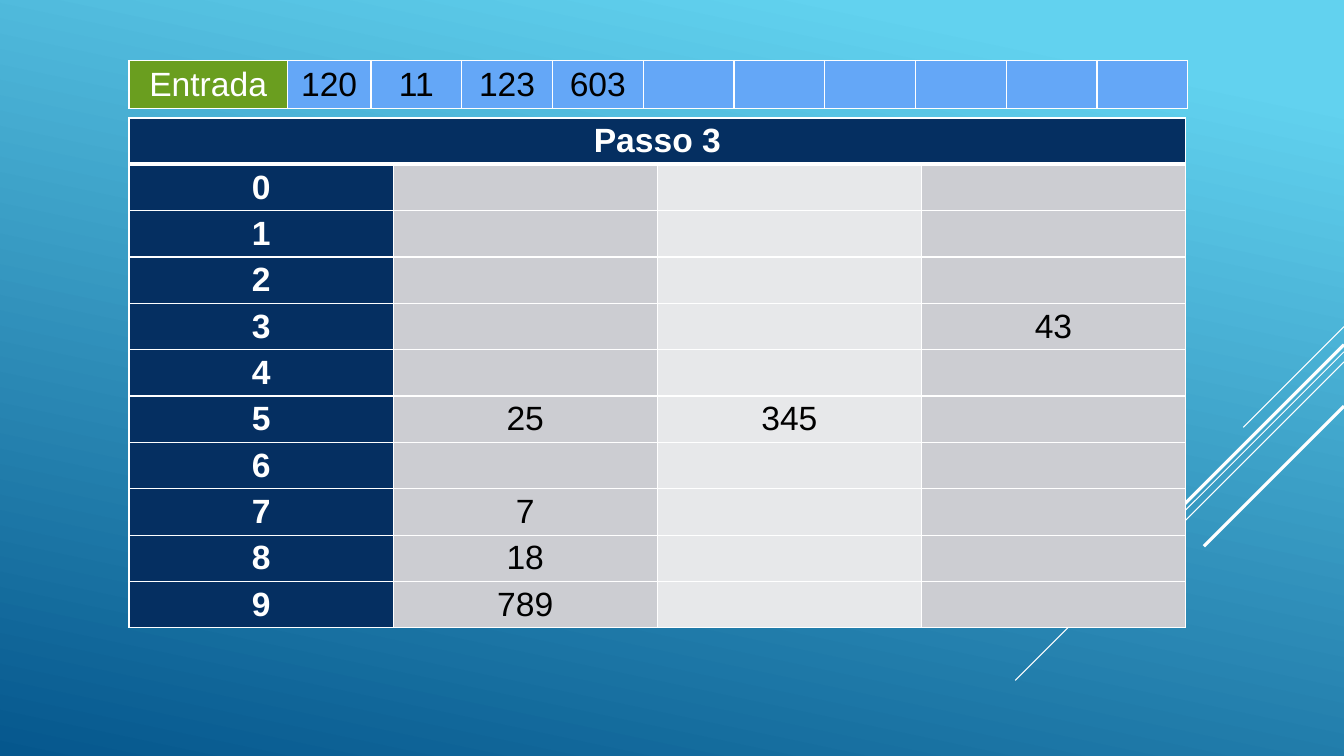
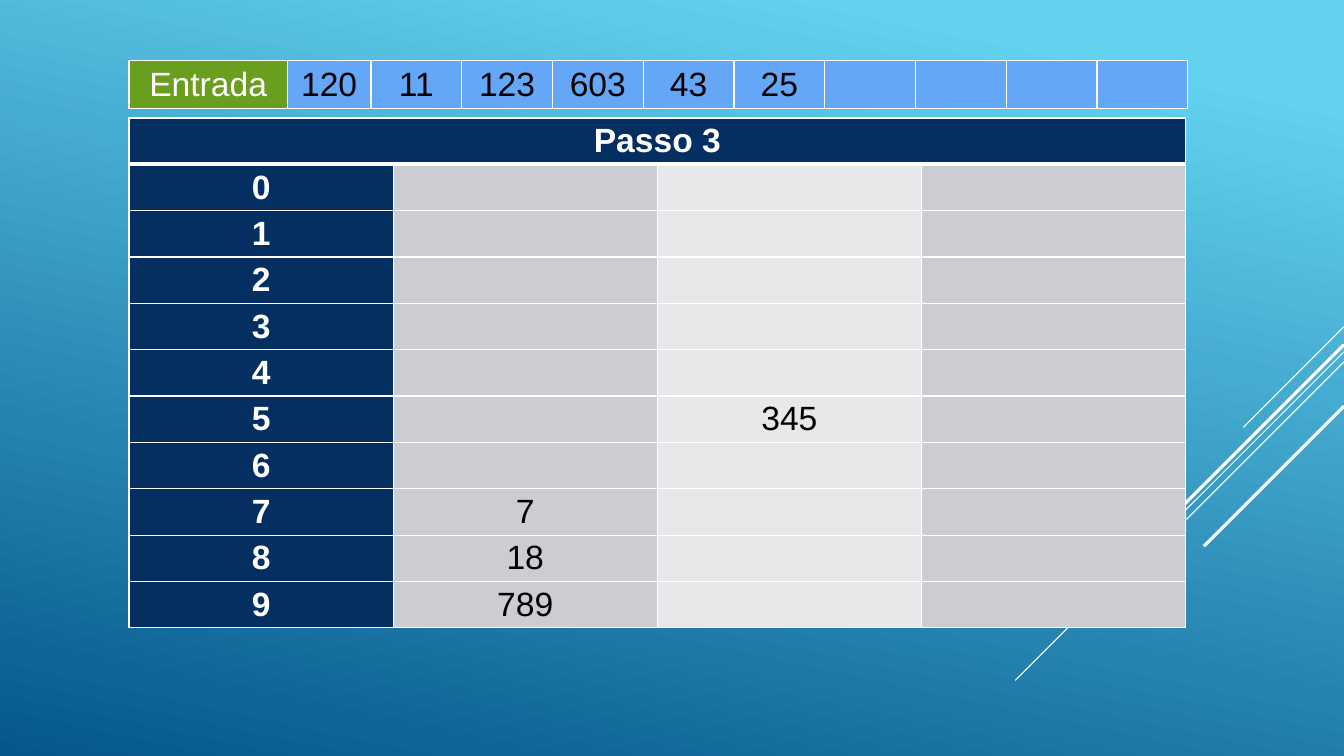
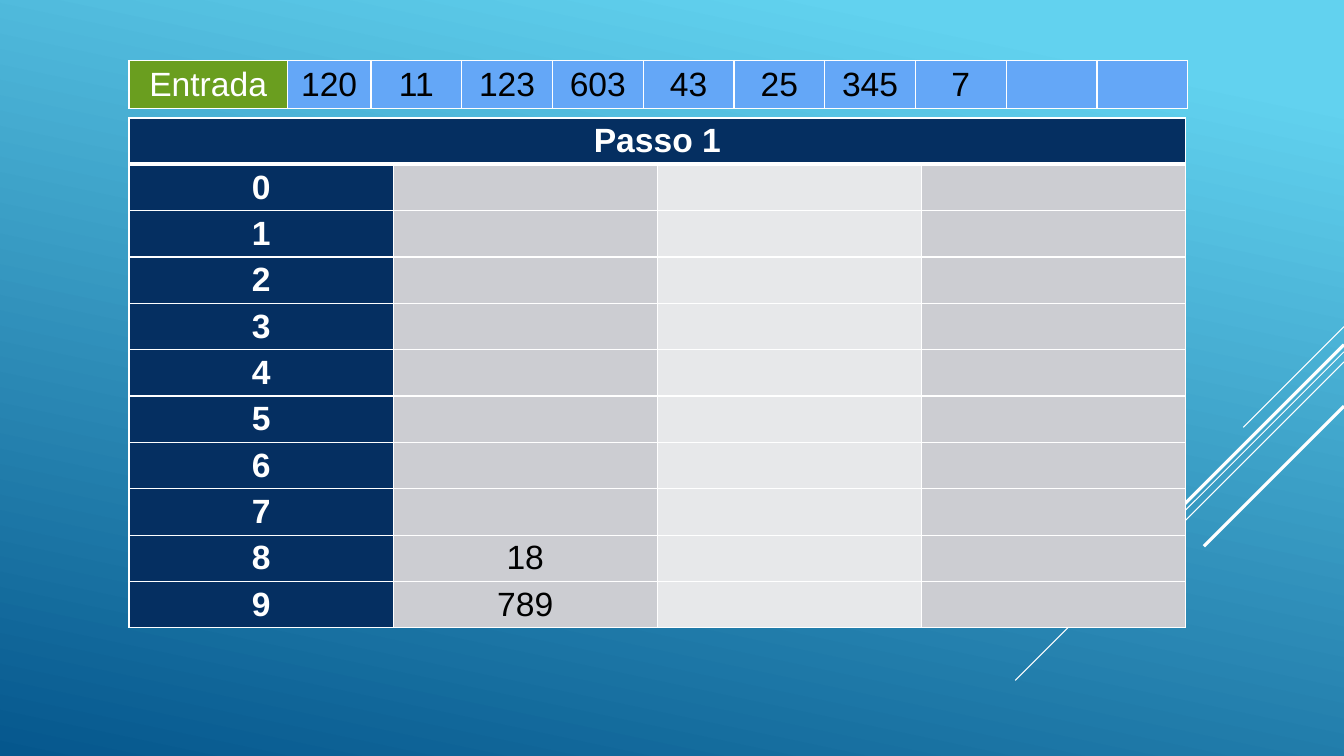
from lxml.etree import SubElement
from pptx import Presentation
from pptx.dml.color import RGBColor
from pptx.enum.shapes import MSO_CONNECTOR as Conn
from pptx.enum.text import MSO_ANCHOR as Anchor, PP_ALIGN as Align
from pptx.oxml import parse_xml
from pptx.oxml.ns import nsdecls, qn
from pptx.util import Inches, Pt

FONT = "Arial"
WHITE, BLACK = "FFFFFF", "000000"
SKY, DEEP = "62D2EF", "05578D"
NAVY, GREEN, BLUE = "052F61", "6A9E1F", "64A7F7"
BANDS = ["CCCDD2", "E7E8EA", "CCCDD2"]

LEFT = 1.28
RIGHT = 13.33
# top of each stripe at the right edge, its run to the left, its width
STRIPES = [(3.24, 1, 0.75), (3.49, 3.26, 0.75), (3.59, 2.07, 0.75),
           (3.42, 1.91, 2.25), (4.03, 1.39, 2.25)]

# numbers in output order, and the bucket column of those still waiting
NUMS = [120, 11, 123, 603, 43, 25, 345, 7, 18, 789]
SLOTS = {43: 3, 25: 1, 345: 2, 7: 1, 18: 1, 789: 1}
# step title, count of numbers already taken out
STEPS = [("Passo 3", 4), ("Passo 3", 6), ("Passo 1", 8)]


def rgb(code):
    return RGBColor.from_string(code)


def write(cell, text, color=BLACK, bold=False, size=24):
    para = cell.text_frame.paragraphs[0]
    para.alignment = Align.CENTER
    run = para.add_run()
    run.text = str(text)
    font = run.font
    font.name, font.size, font.bold = FONT, Pt(size), bold
    font.color.rgb = rgb(color)


def edge(cell, top=1, low=1):
    """Give the cell white borders, in points."""
    props = cell._tc.get_or_add_tcPr()
    sides = [("L", 1), ("R", 1), ("T", top), ("B", low)]
    for i, (side, width) in enumerate(sides):
        line = parse_xml(f'<a:ln{side} {nsdecls("a")} w="{Pt(width)}">'
                         f'<a:solidFill><a:srgbClr val="{WHITE}"/>'
                         f'</a:solidFill></a:ln{side}>')
        props.insert(i, line)


def paint(cell, fill, **lines):
    cell.fill.solid()
    cell.fill.fore_color.rgb = rgb(fill)
    cell.vertical_anchor = Anchor.MIDDLE
    edge(cell, **lines)


def grid(slide, top, rows, widths, height):
    frame = slide.shapes.add_table(
        rows, len(widths), Inches(LEFT), Inches(top),
        Inches(sum(widths)), Inches(height * rows))
    table = frame.table
    table.first_row = table.horz_banding = False
    for col, width in zip(table.columns, widths):
        col.width = Inches(width)
    for row in table.rows:
        row.height = Inches(height)
    return table


def queue(slide, done):
    """Draw the input row with the numbers taken out so far."""
    table = grid(slide, 0.6, 1, [1.57, 0.83] + [0.9] * 9, 0.48)
    head = table.cell(0, 0)
    paint(head, GREEN)
    write(head, "Entrada", color=WHITE)
    for i in range(len(NUMS)):
        cell = table.cell(0, i + 1)
        paint(cell, BLUE)
        if i < done:
            write(cell, NUMS[i])


def buckets(slide, title, done):
    """Draw the ten digit rows with the numbers still waiting."""
    table = grid(slide, 1.17, 11, [2.62] * 4, 0.46)
    for r, row in enumerate(table.rows):
        for c, cell in enumerate(row.cells):
            fill = NAVY if r == 0 or c == 0 else BANDS[c - 1]
            paint(cell, fill, top=3 if r == 1 else 1, low=3 if r == 0 else 1)
            cell.margin_top = cell.margin_bottom = Inches(0.04)
    head = table.cell(0, 0)
    head.merge(table.cell(0, 3))
    write(head, title, color=WHITE, bold=True)
    for digit in range(10):
        write(table.cell(digit + 1, 0), digit, color=WHITE, bold=True)
    for num in NUMS[done:]:
        write(table.cell(num % 10 + 1, SLOTS[num]), num)


def stripe(slide, top, run, width):
    line = slide.shapes.add_connector(
        Conn.STRAIGHT, Inches(RIGHT), Inches(top),
        Inches(RIGHT - run), Inches(top + run))
    line.line.color.rgb = rgb(WHITE)
    line.line.width = Pt(width)
    SubElement(line.element.spPr, qn("a:effectLst"))
    return line


def theme(layout, slide):
    """Put the background and the stripes on the layout."""
    fill = layout.background.fill
    fill.gradient()
    fill.gradient_angle = 360 - 102
    for stop, place, color in zip(fill.gradient_stops, (0.1, 1), (SKY, DEEP)):
        stop.position = place
        stop.color.rgb = rgb(color)
    tree = layout.shapes.element
    for hold in list(layout.placeholders):
        tree.remove(hold.element)
    lines = [stripe(slide, *item) for item in STRIPES]
    for line in lines:
        tree.append(line.element)


def main():
    prs = Presentation()
    prs.slide_width, prs.slide_height = Inches(13.33), Inches(7.5)
    blank = prs.slide_layouts[6]
    slides = [prs.slides.add_slide(blank) for _ in STEPS]
    theme(blank, slides[0])
    for slide, (title, done) in zip(slides, STEPS):
        buckets(slide, title, done)
        queue(slide, done)
    prs.save("out.pptx")


if __name__ == "__main__":
    main()
